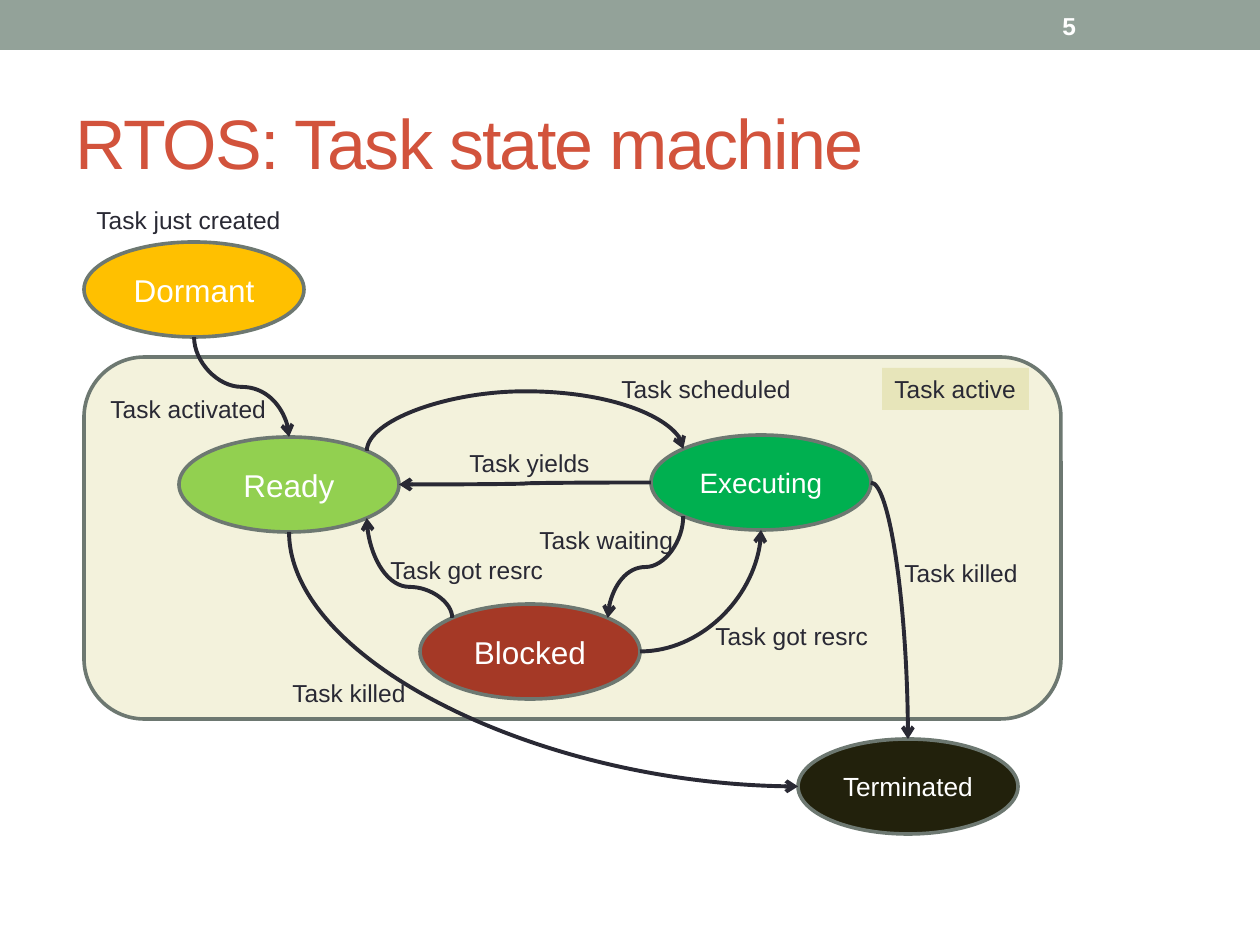
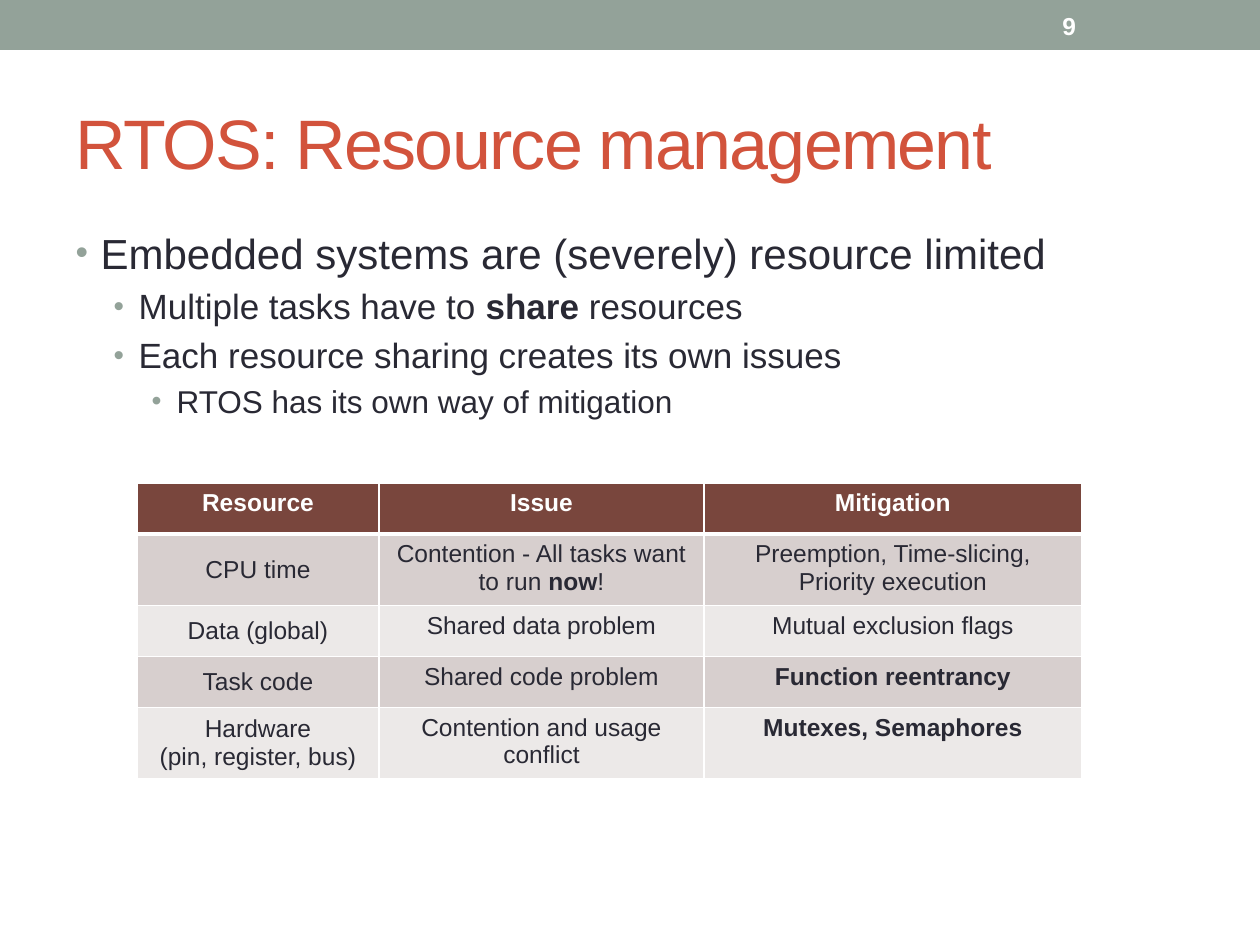
from math import sqrt

from lxml import etree
from pptx import Presentation
from pptx.dml.color import RGBColor
from pptx.enum.shapes import MSO_CONNECTOR, MSO_SHAPE
from pptx.enum.text import MSO_ANCHOR, MSO_AUTO_SIZE, PP_ALIGN
from pptx.oxml.ns import qn
from pptx.util import Emu, Pt

CURVE = MSO_CONNECTOR.CURVE
RECT, ROUND, OVAL = MSO_SHAPE.RECTANGLE, MSO_SHAPE.ROUNDED_RECTANGLE, MSO_SHAPE.OVAL
TOP, MIDDLE = MSO_ANCHOR.TOP, MSO_ANCHOR.MIDDLE
LEFT, CENTER = PP_ALIGN.LEFT, PP_ALIGN.CENTER
GROW = MSO_AUTO_SIZE.SHAPE_TO_FIT_TEXT

SCALE = 914400 / 126
FONT = "Arial"
COLORS = {
    "white": "FFFFFF", "band": "93A299", "title": "D2533C", "ink": "292934",
    "edge": "6D7871", "panel": "F3F2DC", "tag": "E7E5BA",
    "dormant": "FFC000", "ready": "92D050", "run": "00B050",
    "ended": "22210C", "blocked": "A53926",
    "head": "79463D", "odd": "D7CFCE", "even": "ECE9E8",
}

NODE_W, NODE_H = 220, 95
NODES = {
    "Dormant": (84, 242, "dormant", 18),
    "Ready": (179, 437, "ready", 18),
    "Executing": (651, 435, "run", 16),
    "Terminated": (798, 739, "ended", 15),
    "Blocked": (420, 604, "blocked", 18),
}
DIAG = sqrt(0.5)
SITES = [(0, -1), (-DIAG, -DIAG), (-1, 0), (-DIAG, DIAG),
         (0, 1), (DIAG, DIAG), (1, 0), (DIAG, -DIAG)]
N, NW, W, SW, S, SE, E, NE = range(8)
TURNS = {0: (1, 0), 90: (0, 1), 180: (-1, 0), 270: (0, -1)}

ARROWS = [
    ("Dormant", S, "Ready", N, 270, 0.5),
    ("Ready", NE, "Executing", NW, 90, 30),
    ("Executing", SW, "Blocked", NE, 90, 0.5),
    ("Blocked", NW, "Ready", SE, 270, 0.31),
    ("Blocked", E, "Executing", S, 0, None),
    ("Executing", E, "Terminated", N, 0, None),
    ("Ready", S, "Terminated", W, 270, None),
    ("Executing", W, "Ready", E, 180, 0.5),
]
LABELS = [
    ("Task activated", 98, 388, 181, "panel"),
    ("Task got resrc", 703, 615, 179, "panel"),
    ("Task got resrc", 378, 549, 179, "panel"),
    ("Task waiting", 527, 519, 160, "panel"),
    ("Task killed", 892, 552, 140, "panel"),
    ("Task killed", 280, 672, 140, "panel"),
    ("Task scheduled", 609, 368, 195, "panel"),
    ("Task just created", 84, 199, 210, "white"),
    ("Task yields", 457, 442, 146, "panel"),
    ("Task active", 882, 368, 147, "tag"),
]
POINTS = [
    (0, "Embedded systems are (severely) resource limited"),
    (1, "Multiple tasks have to *share* resources"),
    (1, "Each resource sharing creates its own issues"),
    (2, "RTOS has its own way of mitigation"),
]
LEVELS = [(25, 24, 85), (63, 20, 85), (101, 18, 90)]
COLS = [242, 325, 378]
ROWS = [
    ("Resource", "Issue", "Mitigation"),
    ("CPU time", "Contention - All tasks want to run *now*!",
     "Preemption, Time-slicing, Priority execution"),
    ("Data (global)", "Shared data problem", "Mutual exclusion flags"),
    ("Task code", "Shared code problem", "*Function reentrancy*"),
    ("Hardware\n(pin, register, bus)", "Contention and usage conflict",
     "*Mutexes, Semaphores*"),
]


def px(value):
    return Emu(round(value * SCALE))


def rgb(name):
    return RGBColor.from_string(COLORS[name])


def place(shape, x, y, w, h):
    shape.left, shape.top, shape.width, shape.height = map(px, (x, y, w, h))


def add_runs(para, text, size, color, bold=False):
    for i, part in enumerate(text.split("*")):
        if part:
            run = para.add_run()
            run.text = part
            font = run.font
            font.name, font.size = FONT, Pt(size)
            font.bold = bold or i % 2 == 1
            font.color.rgb = rgb(color)


def write(frame, text, size, color, align=LEFT, bold=False):
    for i, line in enumerate(text.split("\n")):
        para = frame.add_paragraph() if i else frame.paragraphs[0]
        para.alignment = align
        add_runs(para, line, size, color, bold)


def add_box(slide, kind, x, y, w, h, fill, edge=None):
    box = slide.shapes.add_shape(kind, px(x), px(y), px(w), px(h))
    box.shadow.inherit = False
    box.fill.solid()
    box.fill.fore_color.rgb = rgb(fill)
    if edge:
        box.line.color.rgb = rgb(edge)
        box.line.width = Pt(2.08)
    else:
        box.line.fill.background()
    return box


def add_label(slide, text, x, y, w, fill):
    frame = add_box(slide, RECT, x, y, w, 42, fill).text_frame
    frame.word_wrap = False
    frame.auto_size = GROW
    frame.vertical_anchor = TOP
    write(frame, text, 14, "ink")


def add_node(slide, name):
    x, y, fill, size = NODES[name]
    node = add_box(slide, OVAL, x, y, NODE_W, NODE_H, fill, "edge")
    frame = node.text_frame
    frame.vertical_anchor = MIDDLE
    write(frame, name, size, "white", CENTER)
    return node


def find_site(name, site):
    x, y = NODES[name][:2]
    dx, dy = SITES[site]
    return x + NODE_W / 2 * (1 + dx), y + NODE_H / 2 * (1 + dy)


def add_arrow(slide, nodes, start, out, end, into, turn, bend):
    x1, y1 = find_site(start, out)
    x2, y2 = find_site(end, into)
    dx, dy = x2 - x1, y2 - y1
    cos, sin = TURNS[turn]
    w, h = dx * cos + dy * sin, dy * cos - dx * sin
    mx, my = (x1 + x2) / 2, (y1 + y2) / 2
    ends = mx - w / 2, my - h / 2, mx + w / 2, my + h / 2
    arrow = slide.shapes.add_connector(CURVE, *map(px, ends))
    arrow.line.color.rgb = rgb("ink")
    arrow.line.width = Pt(2.25)
    etree.SubElement(arrow.line._get_or_add_ln(), qn("a:tailEnd"), type="arrow")
    props = arrow._element.spPr
    etree.SubElement(props, qn("a:effectLst"))
    props.find(qn("a:xfrm")).set("rot", str(turn * 60000))
    shape = props.find(qn("a:prstGeom"))
    if bend is None:
        shape.set("prst", "curvedConnector2")
    else:
        etree.SubElement(shape.find(qn("a:avLst")), qn("a:gd"),
                         name="adj1", fmla=f"val {round(bend * 100000)}")
    links = next(arrow._element.iter(qn("p:cNvCxnSpPr")))
    for tag, name, site in (("a:stCxn", start, out), ("a:endCxn", end, into)):
        etree.SubElement(links, qn(tag), id=str(nodes[name].shape_id), idx=str(site))


def add_list(slide):
    body = slide.placeholders[1]
    place(body, 63, 221, 1134, 672)
    frame = body.text_frame
    for i, (level, text) in enumerate(POINTS):
        para = frame.add_paragraph() if i else frame.paragraphs[0]
        indent, size, scale = LEVELS[level]
        para.level = level
        add_runs(para, text, size, "ink")
        props = para._p.get_or_add_pPr()
        props.set("marL", str(px(indent)))
        props.set("indent", str(px(-25)))
        tint = etree.SubElement(props, qn("a:buClr"))
        etree.SubElement(tint, qn("a:srgbClr"), val=COLORS["band"])
        etree.SubElement(props, qn("a:buSzPct"), val=str(scale * 1000))
        etree.SubElement(props, qn("a:buChar"), char="•")


def set_edges(cell, head):
    props = cell._tc.get_or_add_tcPr()
    for i, side in enumerate(("lnL", "lnR", "lnT", "lnB")):
        width = 3 if head and side == "lnB" else 1
        line = etree.Element(qn(f"a:{side}"), w=str(Pt(width)))
        fill = etree.SubElement(line, qn("a:solidFill"))
        etree.SubElement(fill, qn("a:srgbClr"), val=COLORS["white"])
        props.insert(i, line)


def add_grid(slide):
    high = 51
    grid = slide.shapes.add_table(len(ROWS), len(COLS), px(137), px(483),
                                  px(sum(COLS)), px(high * len(ROWS))).table
    for col, width in zip(grid.columns, COLS):
        col.width = px(width)
    for r, row in enumerate(ROWS):
        head = r == 0
        fill = "head" if head else "odd" if r % 2 else "even"
        for c, text in enumerate(row):
            cell = grid.cell(r, c)
            cell.fill.solid()
            cell.fill.fore_color.rgb = rgb(fill)
            cell.vertical_anchor = TOP if head or c else MIDDLE
            write(cell.text_frame, text, 14, "white" if head else "ink", CENTER, head)
            set_edges(cell, head)


def add_slide(deck, layout, title, number):
    slide = deck.slides.add_slide(deck.slide_layouts[layout])
    add_box(slide, RECT, 0, 0, 1260, 50, "band")
    head = slide.shapes.title
    place(head, 63, 73, 1134, 136)
    head.text_frame.vertical_anchor = MIDDLE
    write(head.text_frame, title, 40, "title")
    for run in head.text_frame.paragraphs[0].runs:
        run._r.get_or_add_rPr().set("spc", "-100")
    page = slide.shapes.add_textbox(px(1050), px(3), px(147), px(45)).text_frame
    page.word_wrap = True
    page.vertical_anchor = MIDDLE
    write(page, number, 14, "white", bold=True)
    return slide


def add_states(deck):
    slide = add_slide(deck, 5, "RTOS: Task state machine", "5")
    add_box(slide, ROUND, 84, 357, 977, 362, "panel", "edge")
    for label in LABELS:
        add_label(slide, *label)
    nodes = {name: add_node(slide, name) for name in NODES}
    for arrow in ARROWS:
        add_arrow(slide, nodes, *arrow)


def add_limits(deck):
    slide = add_slide(deck, 1, "RTOS: Resource management", "9")
    add_list(slide)
    add_grid(slide)


def main():
    deck = Presentation()
    deck.slide_width, deck.slide_height = px(1260), px(945)
    add_states(deck)
    add_limits(deck)
    deck.save("out.pptx")


if __name__ == "__main__":
    main()
